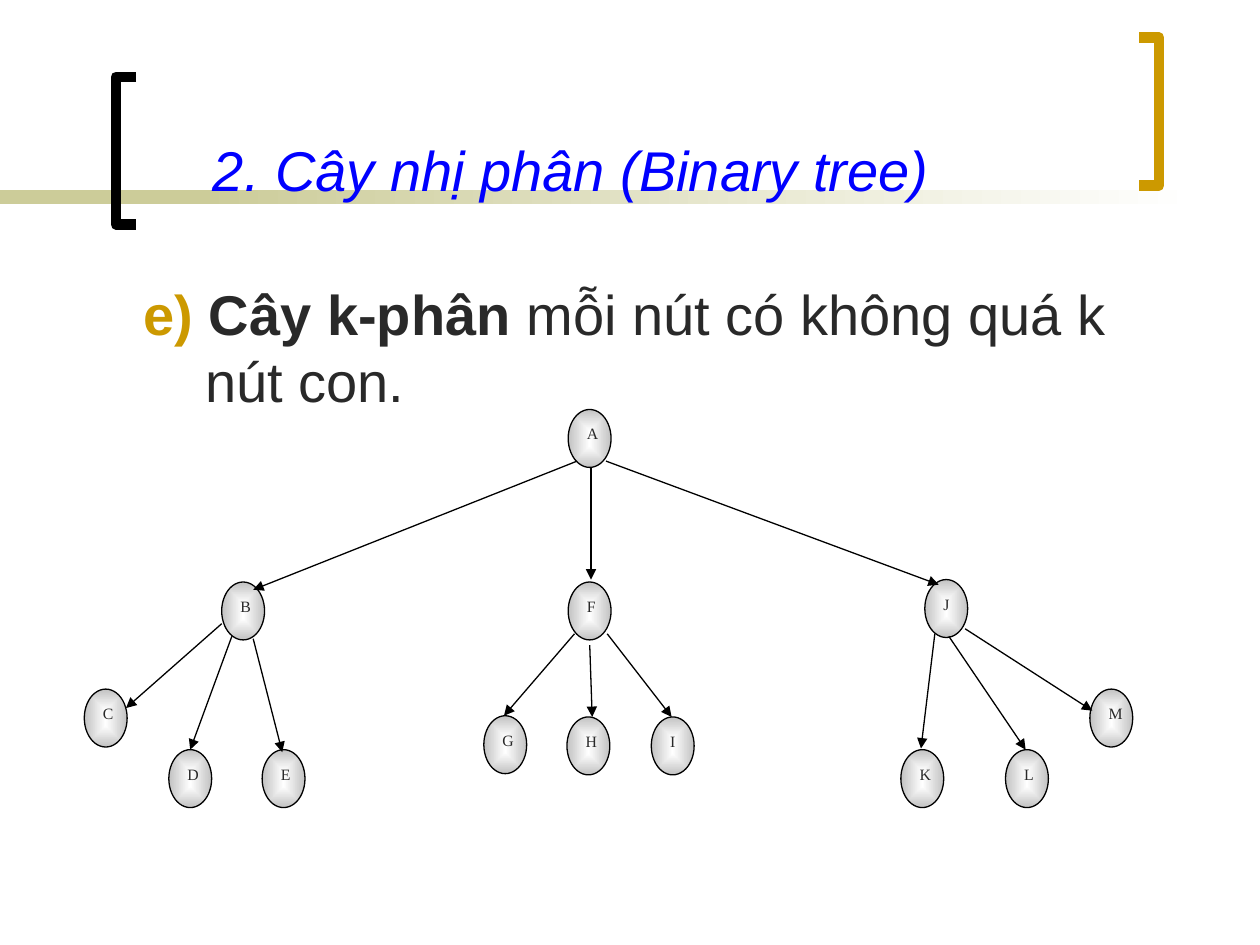
from lxml import etree
from pptx import Presentation
from pptx.dml import color
from pptx.enum import shapes, text
from pptx.oxml import ns
from pptx.util import Pt

# Content
TITLE = "2. Cây nhị phân (Binary tree)"
BODY = [  # text, colour, bold
    ("e)", "gold", True),
    (" Cây k-phân ", "ink", True),
    ("mỗi nút có không quá k nút con.", "ink", False),
]
NODES = {  # left, top
    "A": (324.7, 234), "F": (324.7, 332.6), "B": (126.7, 332.6), "J": (528.5, 331.2),
    "K": (514.8, 428.4), "L": (574.6, 428.4), "M": (622.8, 393.8), "I": (372.2, 409.7),
    "G": (276.5, 409), "E": (149.8, 428.4), "D": (96.5, 428.4), "C": (48.2, 393.8),
    "H": (324, 409.7),
}
NODE_SIZE = (24.5, 33.1)
ARROWS = [  # parent side x, y, child side x, y
    (337.7, 267.1, 337.7, 331.2), (329.8, 263.5, 144.7, 337), (346.3, 263.5, 536.4, 334.1),
    (126.7, 356.4, 72, 404.6), (132.5, 363.6, 108.7, 428.4), (144.7, 365, 161.3, 429.8),
    (328.3, 362.2, 288, 409), (337, 368.6, 338.4, 409.7), (347, 362.2, 383.8, 409.7),
    (534.2, 362.2, 526.3, 427.7), (542.2, 363.6, 586.1, 428.4), (551.5, 359.3, 624.2, 406.1),
]
BARS = [(0, 168, ("sand", "sand")), (114, 570, ("sand", "white"))]  # left, width, colours
BAR_TOP, BAR_HEIGHT = 108.7, 8
BRACKETS = [(77.8, 66.2, 43.9, "black"), (650.9, 662.4, 21.6, "gold")]  # tips, spine, top, colour
BRACKET_HEIGHT = 84.3

THEME = {
    "colours": {"black": "000000", "white": "FFFFFF", "grey": "C2C2C2", "sand": "CCCC99",
                "gold": "CC9900", "ink": "292929", "blue": "0000FF"},
    "main": {"name": "Arial", "size": Pt(32)},
    "label": {"name": "Times New Roman", "size": Pt(9)},
    "line": 0.75,
    "bracket": 6,
}


def rgb(name):
    return color.RGBColor.from_string(THEME["colours"][name])


def add_run(paragraph, words, colour, style, **extra):
    run = paragraph.add_run()
    run.text = words
    for key, value in {**style, **extra}.items():
        setattr(run.font, key, value)
    run.font.color.rgb = rgb(colour)


def set_line(shape, colour, width):
    shape.line.color.rgb = rgb(colour)
    shape.line.width = Pt(width)


def fill_gradient(shape, names, centred=False):
    fill = shape.fill
    fill.gradient()
    fill.gradient_angle = 0
    for stop, name, position in zip(fill.gradient_stops, names, (0, 1)):
        stop.color.rgb = rgb(name)
        stop.position = position
    if centred:
        linear = shape._element.spPr.find(".//" + ns.qn("a:lin"))
        radial = etree.Element(ns.qn("a:path"), path="rect")
        etree.SubElement(radial, ns.qn("a:fillToRect"),
                         {side: "50000" for side in "ltrb"})
        linear.getparent().replace(linear, radial)


def add_shape(slide, kind, left, top, width, height):
    shape = slide.shapes.add_shape(kind, Pt(left), Pt(top), Pt(width), Pt(height))
    shape.shadow.inherit = False
    return shape


def add_decoration(slide):
    for left, width, names in BARS:
        bar = add_shape(slide, shapes.MSO_SHAPE.RECTANGLE, left, BAR_TOP, width, BAR_HEIGHT)
        fill_gradient(bar, names)
        bar.line.fill.background()
    for tips, spine, top, colour in BRACKETS:
        bottom = top + BRACKET_HEIGHT
        builder = slide.shapes.build_freeform(Pt(tips), Pt(top))
        corners = [(spine, top), (spine, bottom), (tips, bottom)]
        builder.add_line_segments([(Pt(x), Pt(y)) for x, y in corners], close=False)
        bracket = builder.convert_to_shape()
        bracket.shadow.inherit = False
        bracket.fill.background()
        set_line(bracket, colour, THEME["bracket"])


def add_words(slide):
    # Title, raised above the bars
    title = slide.shapes.title
    slide.shapes._spTree.append(title._element)
    for key, value in {"left": 114.5, "top": 7.9, "width": 563.8, "height": 111.6}.items():
        setattr(title, key, Pt(value))
    title.text_frame.vertical_anchor = text.MSO_ANCHOR.BOTTOM
    title.text_frame.auto_size = text.MSO_AUTO_SIZE.NONE
    paragraph = title.text_frame.paragraphs[0]
    paragraph.alignment = text.PP_ALIGN.LEFT
    add_run(paragraph, TITLE, "blue", THEME["main"], italic=True)

    # Definition with a hanging indent
    box = slide.shapes.add_textbox(Pt(74.9), Pt(156.2), Pt(603.4), Pt(113.8))
    box.text_frame.word_wrap = True
    paragraph = box.text_frame.paragraphs[0]
    properties = paragraph._p.get_or_add_pPr()
    properties.set("marL", str(Pt(35.3)))
    properties.set("indent", str(Pt(-35.3)))
    for words, colour, bold in BODY:
        add_run(paragraph, words, colour, THEME["main"], bold=bold)


def add_node(slide, label, left, top):
    node = add_shape(slide, shapes.MSO_SHAPE.OVAL, left, top, *NODE_SIZE)
    fill_gradient(node, ("white", "grey"), centred=True)
    set_line(node, "black", THEME["line"])
    node.text_frame.word_wrap = True
    node.text_frame.vertical_anchor = text.MSO_ANCHOR.TOP
    paragraph = node.text_frame.paragraphs[0]
    paragraph.alignment = text.PP_ALIGN.CENTER
    add_run(paragraph, label, "ink", THEME["label"])


def add_arrow(slide, *ends):
    arrow = slide.shapes.add_connector(shapes.MSO_CONNECTOR.STRAIGHT, *map(Pt, ends))
    set_line(arrow, "black", THEME["line"])
    etree.SubElement(arrow.line._get_or_add_ln(), ns.qn("a:tailEnd"), type="triangle")
    etree.SubElement(arrow._element.spPr, ns.qn("a:effectLst"))


def main():
    presentation = Presentation()
    presentation.slide_width, presentation.slide_height = Pt(720), Pt(540)
    slide = presentation.slides.add_slide(presentation.slide_layouts[5])
    add_decoration(slide)
    add_words(slide)
    # Tree
    for label, (left, top) in NODES.items():
        add_node(slide, label, left, top)
    for ends in ARROWS:
        add_arrow(slide, *ends)
    presentation.save("out.pptx")


if __name__ == "__main__":
    main()
